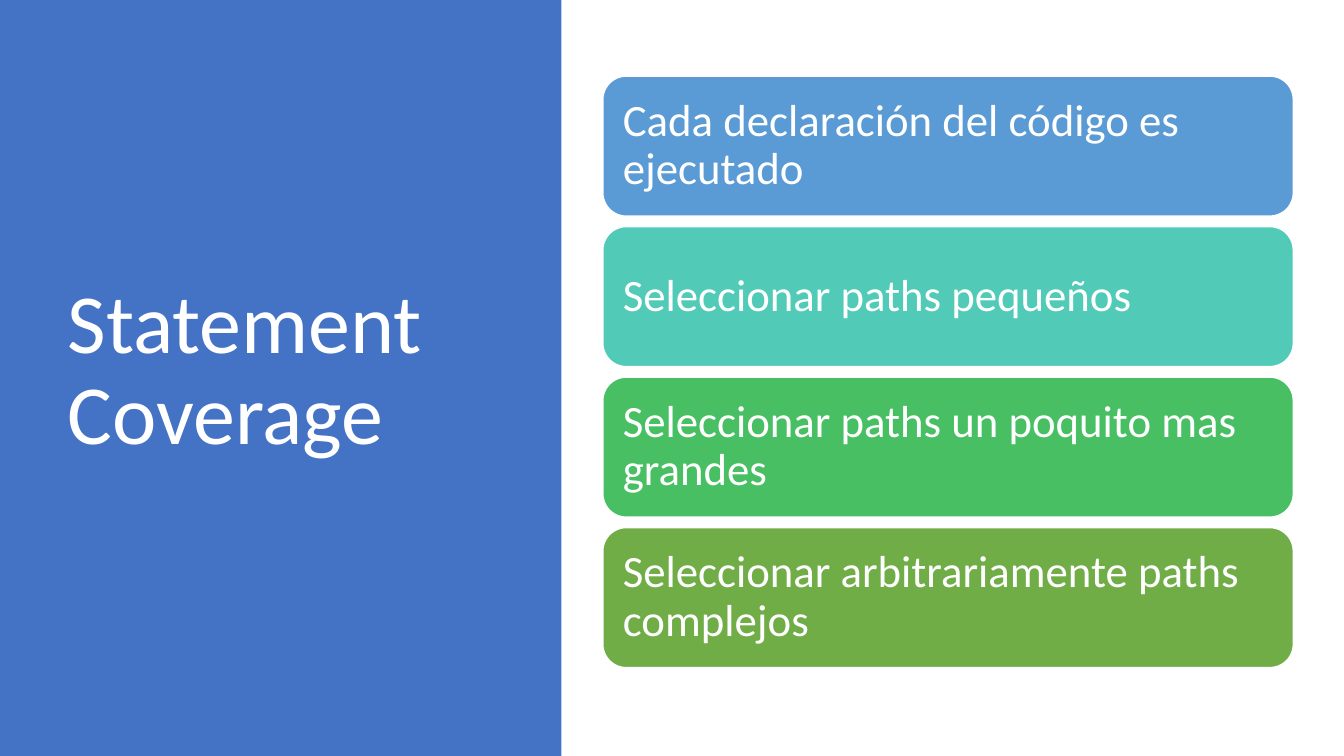
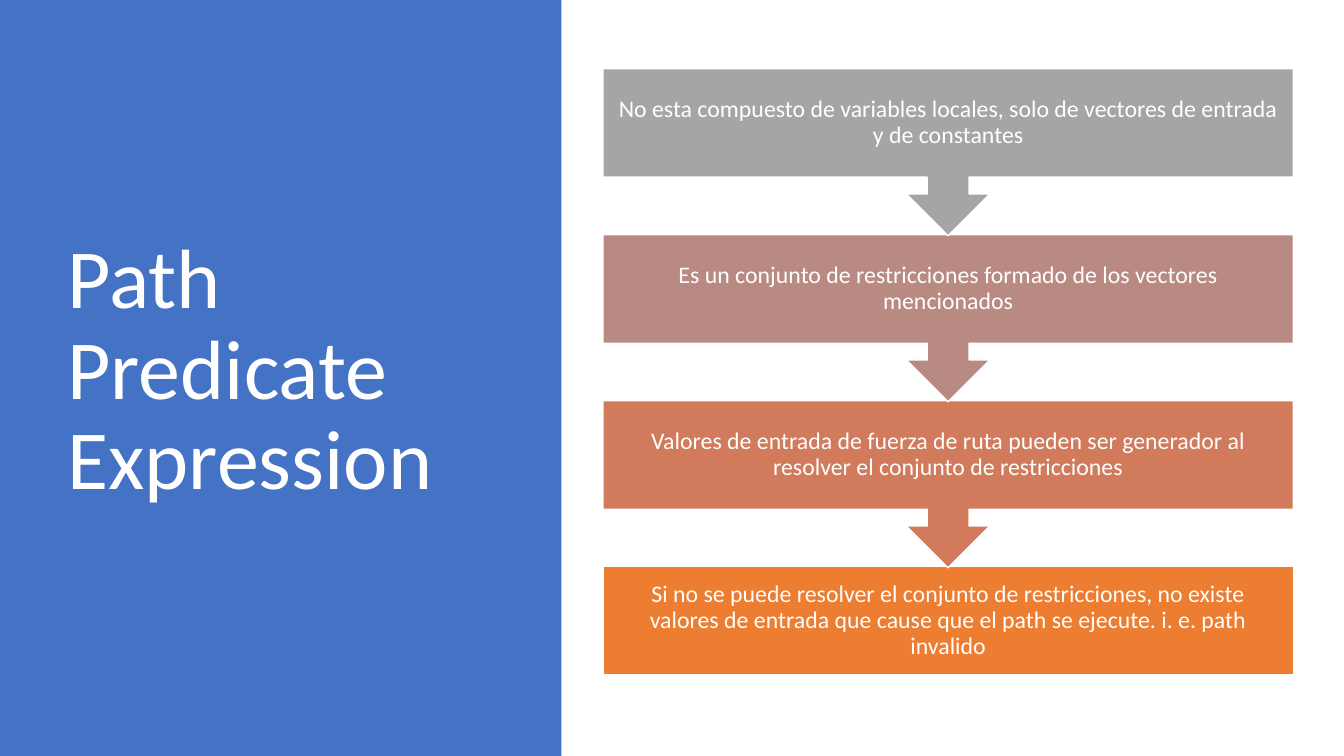
import pptx
import pptx.util
import pptx.dml.color
import pptx.enum.shapes
import pptx.enum.text

Pt = pptx.util.Pt
SHAPE = pptx.enum.shapes.MSO_SHAPE
ALIGN = pptx.enum.text.PP_ALIGN
ANCHOR = pptx.enum.text.MSO_ANCHOR
AUTO_SIZE = pptx.enum.text.MSO_AUTO_SIZE

COLORS = {
    "white": "FFFFFF",
    "band": "4472C4",
    "blue": "5B9BD5",
    "teal": "52CAB8",
    "green": "49BF64",
    "olive": "70AD47",
    "gray": "A5A5A5",
    "rose": "B98A82",
    "clay": "D17B5C",
    "orange": "ED7D31",
}

COVERAGE_TITLE = "Statement Coverage"
COVERAGE_CARDS = [
    ("Cada declaración del código es ejecutado", "blue"),
    ("Seleccionar paths pequeños", "teal"),
    ("Seleccionar paths un poquito mas grandes", "green"),
    ("Seleccionar arbitrariamente paths complejos", "olive"),
]

PREDICATE_TITLE = "Path Predicate Expression"
PREDICATE_STEPS = [
    ("No esta compuesto de variables locales, solo de vectores de entrada y de constantes", "gray"),
    ("Es un conjunto de restricciones formado de los vectores mencionados", "rose"),
    ("Valores de entrada de fuerza de ruta pueden ser generador al resolver "
     "el conjunto de restricciones", "clay"),
    ("Si no se puede resolver el conjunto de restricciones, no existe valores de entrada "
     "que cause que el path se ejecute. i. e. path invalido", "orange"),
]

FONT = "Calibri"
SLIDE_WIDTH, SLIDE_HEIGHT = 960, 540
BAND_WIDTH = 401
TITLE_BOX = (41, 49, 299.5, 433.5)
COLUMN_LEFT, COLUMN_WIDTH = 430.6, 493.2
INSET = 9.4
CARD_TOP, CARD_HEIGHT, CARD_PITCH = 54.4, 100, 107.5
STEP_TOP, STEP_HEIGHT, STEP_PITCH = 49, 77.5, 118.6
CALLOUT_HEIGHT = 119.4


def rgb(name):
    return pptx.dml.color.RGBColor.from_string(COLORS[name])


def write_text(shape, text, size, align):
    frame = shape.text_frame
    frame.text = text
    frame.word_wrap = True
    frame.auto_size = AUTO_SIZE.NONE
    frame.vertical_anchor = ANCHOR.MIDDLE
    paragraph = frame.paragraphs[0]
    paragraph.alignment = align
    paragraph.line_spacing = 0.9
    font = paragraph.runs[0].font
    font.name = FONT
    font.size = Pt(size)
    font.color.rgb = rgb("white")


def add_block(slide, kind, box, color):
    shape = slide.shapes.add_shape(kind, *map(Pt, box))
    shape.shadow.inherit = False
    shape.fill.solid()
    shape.fill.fore_color.rgb = rgb(color)
    shape.line.fill.background()
    return shape


def add_text_block(slide, kind, top, height, color, text, size, align):
    shape = add_block(slide, kind, (COLUMN_LEFT, top, COLUMN_WIDTH, height), color)
    shape.line.color.rgb = rgb("white")
    shape.line.width = Pt(1)
    write_text(shape, text, size, align)
    frame = shape.text_frame
    frame.margin_left = frame.margin_right = Pt(INSET)
    frame.margin_top = frame.margin_bottom = Pt(INSET)


def add_titled_slide(presentation, text):
    slide = presentation.slides.add_slide(presentation.slide_layouts.get_by_name("Title Only"))
    band = add_block(slide, SHAPE.RECTANGLE, (0, 0, BAND_WIDTH, SLIDE_HEIGHT), "band")
    title = slide.shapes.title
    title.left, title.top, title.width, title.height = map(Pt, TITLE_BOX)
    write_text(title, text, 60, ALIGN.LEFT)
    band._element.addnext(title._element)
    return slide


def build_coverage(presentation):
    slide = add_titled_slide(presentation, COVERAGE_TITLE)
    for index, (text, color) in enumerate(COVERAGE_CARDS):
        top = CARD_TOP + index * CARD_PITCH
        add_text_block(slide, SHAPE.ROUNDED_RECTANGLE, top, CARD_HEIGHT, color, text, 32, ALIGN.LEFT)


def build_predicate(presentation):
    slide = add_titled_slide(presentation, PREDICATE_TITLE)
    last = len(PREDICATE_STEPS) - 1
    for index, (text, color) in reversed(list(enumerate(PREDICATE_STEPS))):
        if index == last:
            kind, height = SHAPE.RECTANGLE, STEP_HEIGHT
        else:
            kind, height = SHAPE.DOWN_ARROW_CALLOUT, CALLOUT_HEIGHT
        top = STEP_TOP + index * STEP_PITCH
        add_text_block(slide, kind, top, height, color, text, 17, ALIGN.CENTER)


def main():
    presentation = pptx.Presentation()
    presentation.slide_width = Pt(SLIDE_WIDTH)
    presentation.slide_height = Pt(SLIDE_HEIGHT)
    build_coverage(presentation)
    build_predicate(presentation)
    presentation.save("out.pptx")


if __name__ == "__main__":
    main()
